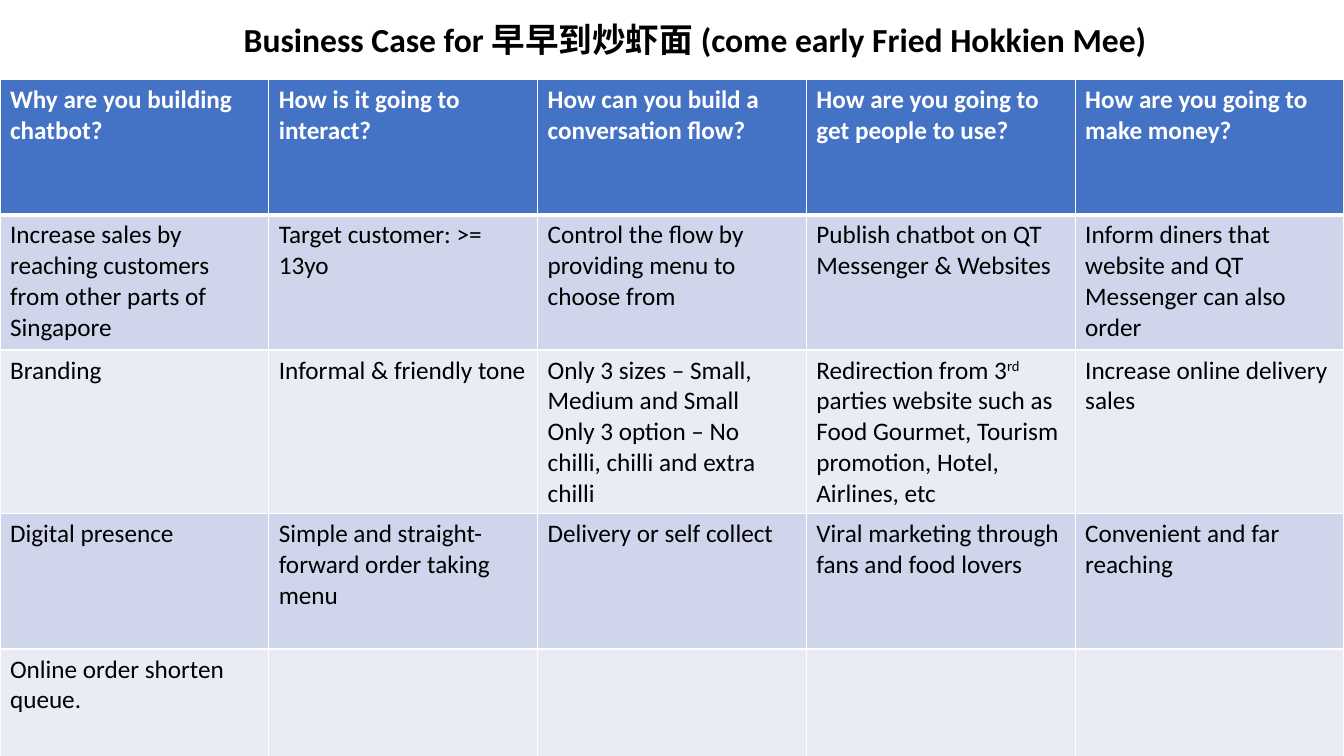
from dataclasses import dataclass
from lxml import etree
from pptx import Presentation
from pptx.dml.color import RGBColor as RGB
from pptx.enum.text import MSO_ANCHOR as ANCHOR, PP_ALIGN as ALIGN
from pptx.oxml.ns import qn
from pptx.util import Pt

# Content: a cell is a list of paragraphs, a paragraph a list of runs; "^" marks superscript
TITLE = "Business Case for 早早到炒虾面 (come early Fried Hokkien Mee)"
HEADERS = [
    "Why are you building chatbot?",
    "How is it going to interact?",
    "How can you build a conversation flow?",
    "How are you going to get people to use?",
    "How are you going to make money?",
]
ANSWERS = [
    ["Increase sales by reaching customers from other parts of Singapore",
     "Target customer: >= 13yo",
     "Control the flow by providing menu to choose from",
     "Publish chatbot on QT Messenger & Websites",
     "Inform diners that website and QT Messenger can also order"],
    ["Branding",
     "Informal & friendly tone",
     [["Only 3 sizes – Small, Medium and Small"],
      ["Only 3 option – No chilli, chilli and extra chilli"]],
     [["Redirection from 3", "^rd", " parties website such as Food Gourmet, "
       "Tourism promotion, Hotel, Airlines, etc"]],
     "Increase online delivery sales"],
    ["Digital presence",
     "Simple and straight-forward order taking menu",
     "Delivery or self collect",
     "Viral marketing through fans and food lovers",
     "Convenient and far reaching"],
    ["Online order shorten queue.", "", "", "", ""],
]


@dataclass(frozen=True)
class Theme:
    font: str = "Calibri"
    title_size: int = 24
    cell_size: int = 18
    text: str = "000000"
    white: str = "FFFFFF"
    header: str = "4472C4"
    bands: tuple = ("CFD5EA", "E9EBF5")
    rule: int = 1
    header_rule: int = 3


T = Theme()
SLIDE_W, SLIDE_H = 960, 540
TABLE_TOP, ROW_H = 57, 96.5


def write(tf, content, *, size=T.cell_size, color=T.text, bold=False, align=ALIGN.LEFT):
    paragraphs = [[content]] if isinstance(content, str) else content
    for i, runs in enumerate(paragraphs):
        p = tf.add_paragraph() if i else tf.paragraphs[0]
        p.alignment = align
        p.font.size = Pt(size)
        for text in filter(None, runs):
            r = p.add_run()
            r.text = text.lstrip("^")
            r.font.name, r.font.size, r.font.bold = T.font, Pt(size), bold
            r.font.color.rgb = RGB.from_string(color)
            if text.startswith("^"):
                r.font._element.set("baseline", "30000")


def set_borders(cell, **widths):
    """Draw white cell borders; they must precede the fill in tcPr."""
    tc_pr = cell._tc.get_or_add_tcPr()
    for i, (side, width) in enumerate(widths.items()):
        ln = etree.Element(qn(f"a:ln{side}"), w=str(Pt(width)))
        fill = etree.SubElement(ln, qn("a:solidFill"))
        etree.SubElement(fill, qn("a:srgbClr"), val=T.white)
        tc_pr.insert(i, ln)


# Slide
prs = Presentation()
prs.slide_width, prs.slide_height = Pt(SLIDE_W), Pt(SLIDE_H)
s = prs.slides.add_slide(prs.slide_layouts[5])

# Title
title = s.shapes.title
title.left, title.top, title.width, title.height = Pt(160.5), Pt(10), Pt(672), Pt(36)
tf = title.text_frame
tf.word_wrap = False
tf.vertical_anchor = ANCHOR.MIDDLE
write(tf, TITLE, size=T.title_size, bold=True, align=ALIGN.CENTER)

# Table
rows = [HEADERS] + ANSWERS
table = s.shapes.add_table(len(rows), len(HEADERS), Pt(0), Pt(TABLE_TOP),
                           Pt(SLIDE_W), Pt(ROW_H * len(rows))).table
for col in table.columns:
    col.width = Pt(SLIDE_W / len(HEADERS))
for i, row in enumerate(rows):
    is_header = i == 0
    for j, content in enumerate(row):
        cell = table.cell(i, j)
        cell.fill.solid()
        cell.fill.fore_color.rgb = RGB.from_string(
            T.header if is_header else T.bands[(i - 1) % 2])
        set_borders(cell, L=T.rule, R=T.rule,
                    T=T.header_rule if i == 1 else T.rule,
                    B=T.header_rule if is_header else T.rule)
        write(cell.text_frame, content, bold=is_header,
              color=T.white if is_header else T.text)

prs.save("out.pptx")
